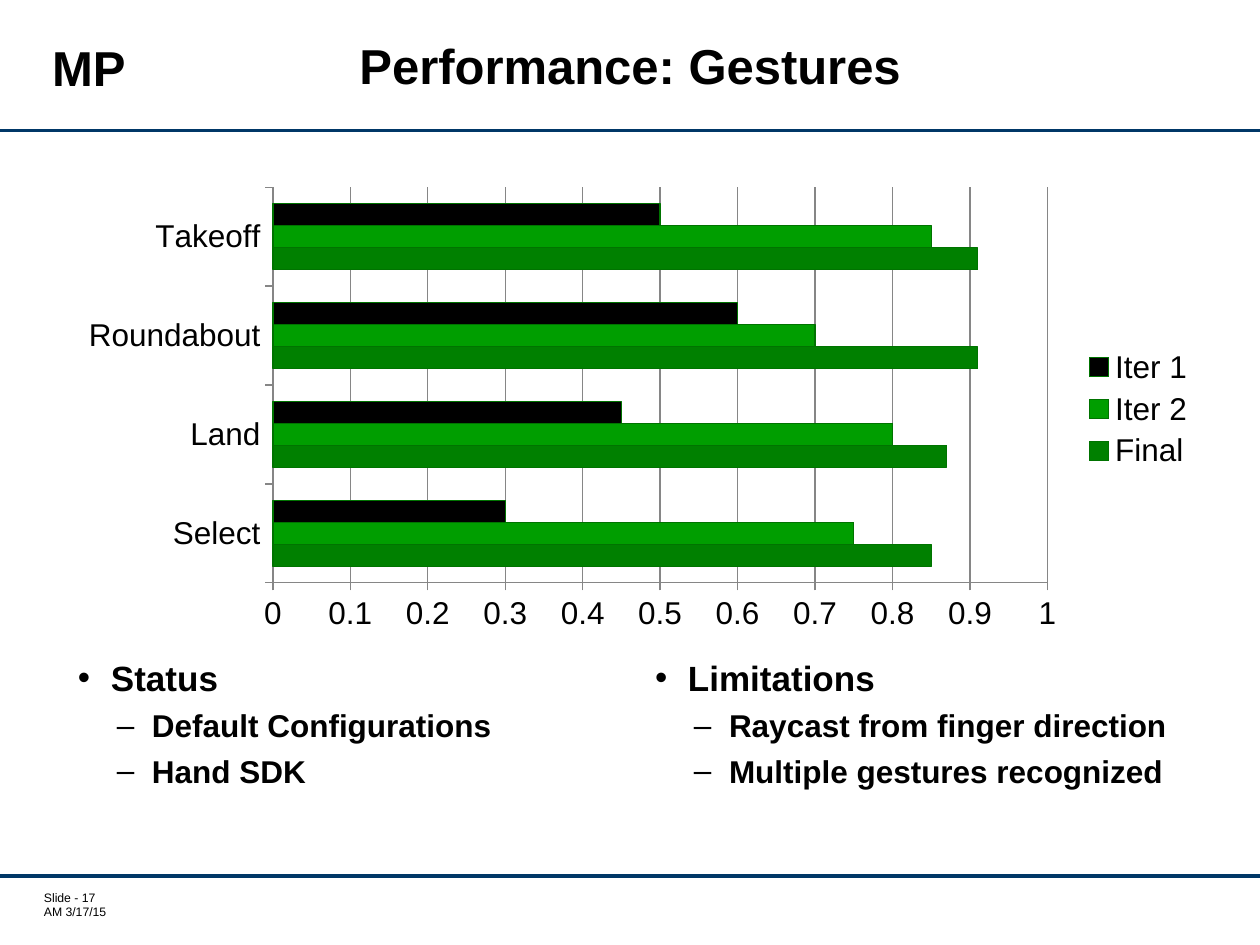
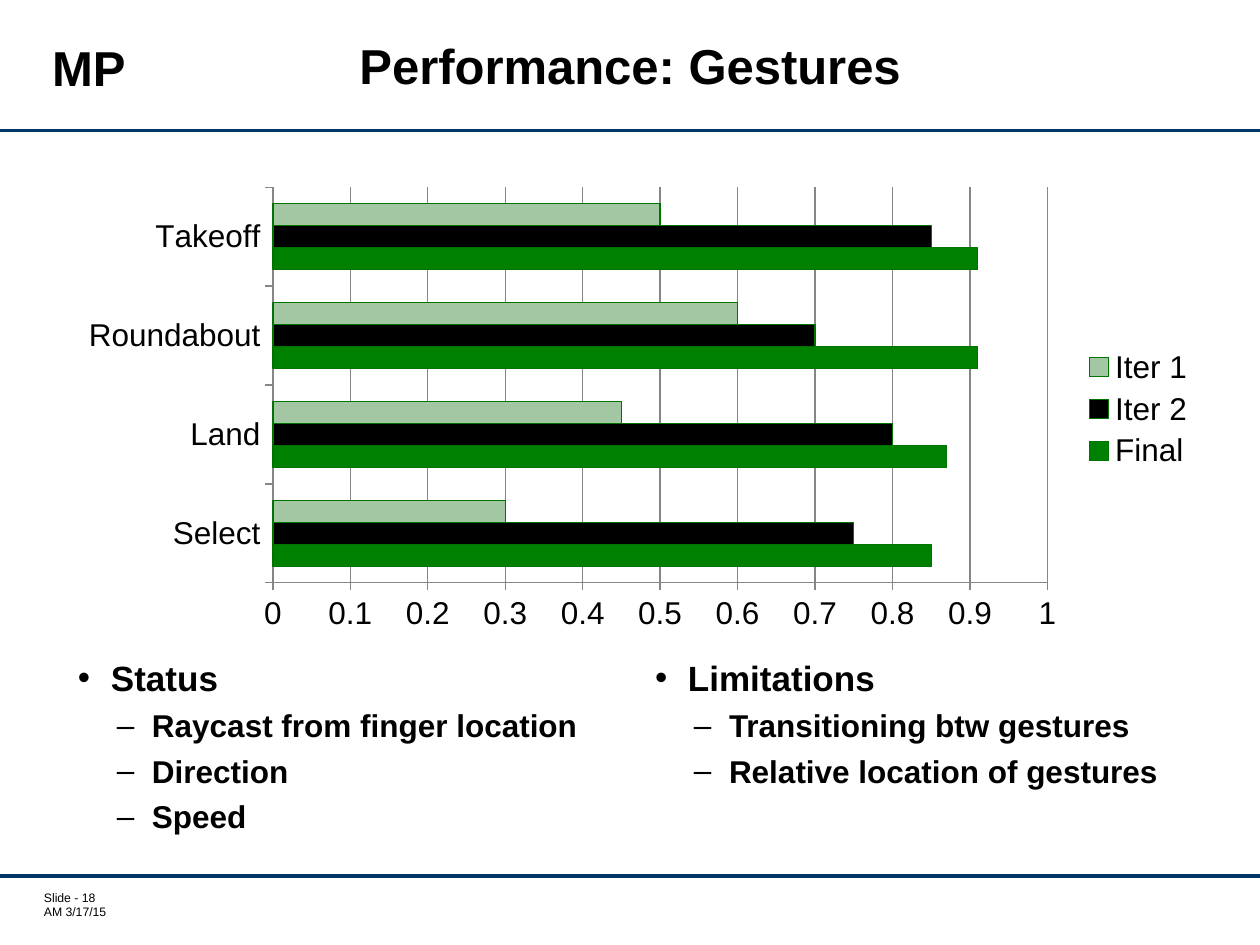
"""Builds two slides on gesture performance, each with a bar chart and two bullet columns."""
from dataclasses import dataclass

from lxml import etree
from pptx import Presentation
from pptx import util as u
from pptx.chart.data import CategoryChartData
from pptx.dml.color import RGBColor
from pptx.enum import chart as ch
from pptx.enum import shapes, text
from pptx.oxml.ns import qn

GESTURES = ("Select", "Land", "Roundabout", "Takeoff")
SCORES = {
    "Final": (0.85, 0.87, 0.91, 0.91),
    "Iter 2": (0.75, 0.8, 0.7, 0.85),
    "Iter 1": (0.3, 0.45, 0.6, 0.5),
}
TITLE = "Performance: Gestures"
TAG = "MP"
DATE = "AM 3/17/15"
SLIDES = (
    {
        "number": 17,
        "bars": ("008000", "009E00", "000000"),
        "columns": (
            ("Status", ("Default Configurations", "Hand SDK")),
            ("Limitations", ("Raycast from finger direction", "Multiple gestures recognized")),
        ),
    },
    {
        "number": 18,
        "bars": ("008000", "000000", "A3C7A3"),
        "columns": (
            ("Status", ("Raycast from finger location", "Direction", "Speed")),
            ("Limitations", ("Transitioning btw gestures", "Relative location of gestures")),
        ),
    },
)


@dataclass(frozen=True)
class Theme:
    """Colours and type sizes of the deck."""
    font: str = "Arial"
    ink: str = "000000"
    rule: str = "003767"
    axis: str = "868686"
    bar_edge: str = "007300"
    title: int = 28
    heading: int = 20
    item: int = 18
    chart: int = 18
    footer: int = 7


THEME = Theme()
WIDTH, HEIGHT = 1260, 945
RULES = (131, 876)
TITLE_BOX = (130, 14, 1000, 112)
TAG_BOX = (21, 31, 136, 72)
FOOTER_BOX = (44, 890, 150, 30)
CHART_BOX = (66, 178, 1142, 462)
COLUMN_BOX = (78, 660, 524, 183)
COLUMN_STEP = 577
# (bullet, left margin px, hanging px, type size, line height pt, space before pt)
LEVELS = (
    ("•", 33, 33, THEME.heading, 22, 12),
    ("–", 74, 35, THEME.item, 20, 6),
)


def px(length):
    return u.Emu(round(length * 914400 / 126))


def colour(code):
    return RGBColor.from_string(code)


def style_font(font, size, bold=False):
    font.name, font.size, font.bold = THEME.font, u.Pt(size), bold
    font.color.rgb = colour(THEME.ink)


def add_span(para, words, size, bold=False):
    span = para.add_run()
    span.text = words
    style_font(span.font, size, bold)


def add_box(page, place, inset=0):
    frame = page.shapes.add_textbox(*map(px, place)).text_frame
    frame.word_wrap = True
    frame.margin_left = frame.margin_right = px(inset)
    frame.margin_top = frame.margin_bottom = px(inset / 2)
    return frame


def next_para(frame, index):
    return frame.add_paragraph() if index else frame.paragraphs[0]


def add_title(page):
    title = page.shapes.title
    title.left, title.top, title.width, title.height = map(px, TITLE_BOX)
    frame = title.text_frame
    frame.vertical_anchor = text.MSO_ANCHOR.MIDDLE
    frame.auto_size = text.MSO_AUTO_SIZE.NONE
    para = frame.paragraphs[0]
    para.alignment = text.PP_ALIGN.CENTER
    para.line_spacing = u.Pt(THEME.title)
    add_span(para, TITLE, THEME.title, True)


def add_frame(page, number):
    for y in RULES:
        rule = page.shapes.add_connector(
            shapes.MSO_CONNECTOR.STRAIGHT, px(0), px(y), px(WIDTH), px(y))
        rule.line.color.rgb = colour(THEME.rule)
        rule.line.width = u.Pt(1.75)
        etree.SubElement(rule._element.spPr, qn("a:effectLst"))
    footer = add_box(page, FOOTER_BOX)
    for index, words in enumerate((f"Slide - {number}", DATE)):
        add_span(next_para(footer, index), words, THEME.footer)
    tag = add_box(page, TAG_BOX, 12).paragraphs[0]
    tag.alignment = text.PP_ALIGN.CENTER
    add_span(tag, TAG, THEME.title, True)


def add_scores(page, bars):
    data = CategoryChartData()
    data.categories = GESTURES
    for name, values in SCORES.items():
        data.add_series(name, values)
    chart = page.shapes.add_chart(
        ch.XL_CHART_TYPE.BAR_CLUSTERED, *map(px, CHART_BOX), data).chart
    style_font(chart.font, THEME.chart)
    chart.has_title = False
    chart.has_legend = True
    chart.legend.position = ch.XL_LEGEND_POSITION.RIGHT
    chart.legend.include_in_layout = False

    plot = chart.plots[0]
    plot.gap_width, plot.overlap, plot.vary_by_categories = 150, 0, False
    for series, fill in zip(plot.series, bars):
        series.format.fill.solid()
        series.format.fill.fore_color.rgb = colour(fill)
        series.format.line.color.rgb = colour(THEME.bar_edge)
        series.format.line.width = u.Pt(0.75)

    scale = chart.value_axis
    scale.minimum_scale, scale.maximum_scale, scale.major_unit = 0, 1, 0.1
    scale.has_major_gridlines = True
    scale.tick_labels.number_format = "General"
    scale.tick_labels.number_format_is_linked = False
    for axis in (scale, chart.category_axis):
        axis.major_tick_mark = ch.XL_TICK_MARK.OUTSIDE
    for part in (scale, chart.category_axis, scale.major_gridlines):
        part.format.line.color.rgb = colour(THEME.axis)
        part.format.line.width = u.Pt(0.75)


def add_bullet(frame, index, words, level):
    mark, margin, hanging, size, leading, before = LEVELS[level]
    para = next_para(frame, index)
    para.level = level
    props = para._p.get_or_add_pPr()
    props.set("marL", str(px(margin)))
    props.set("indent", str(-px(hanging)))
    etree.SubElement(props, qn("a:buFont"), typeface=THEME.font)
    etree.SubElement(props, qn("a:buChar"), char=mark)
    para.line_spacing = u.Pt(leading)
    para.space_before = u.Pt(before if index else 0)
    add_span(para, words, size, True)


def add_columns(page, columns):
    left, *rest = COLUMN_BOX
    for number, (heading, items) in enumerate(columns):
        frame = add_box(page, (left + number * COLUMN_STEP, *rest))
        for index, words in enumerate((heading, *items)):
            add_bullet(frame, index, words, min(index, 1))


def main():
    deck = Presentation()
    deck.slide_width, deck.slide_height = px(WIDTH), px(HEIGHT)
    for content in SLIDES:
        page = deck.slides.add_slide(deck.slide_layouts[5])
        add_title(page)
        add_frame(page, content["number"])
        add_scores(page, content["bars"])
        add_columns(page, content["columns"])
    deck.save("out.pptx")


if __name__ == "__main__":
    main()
